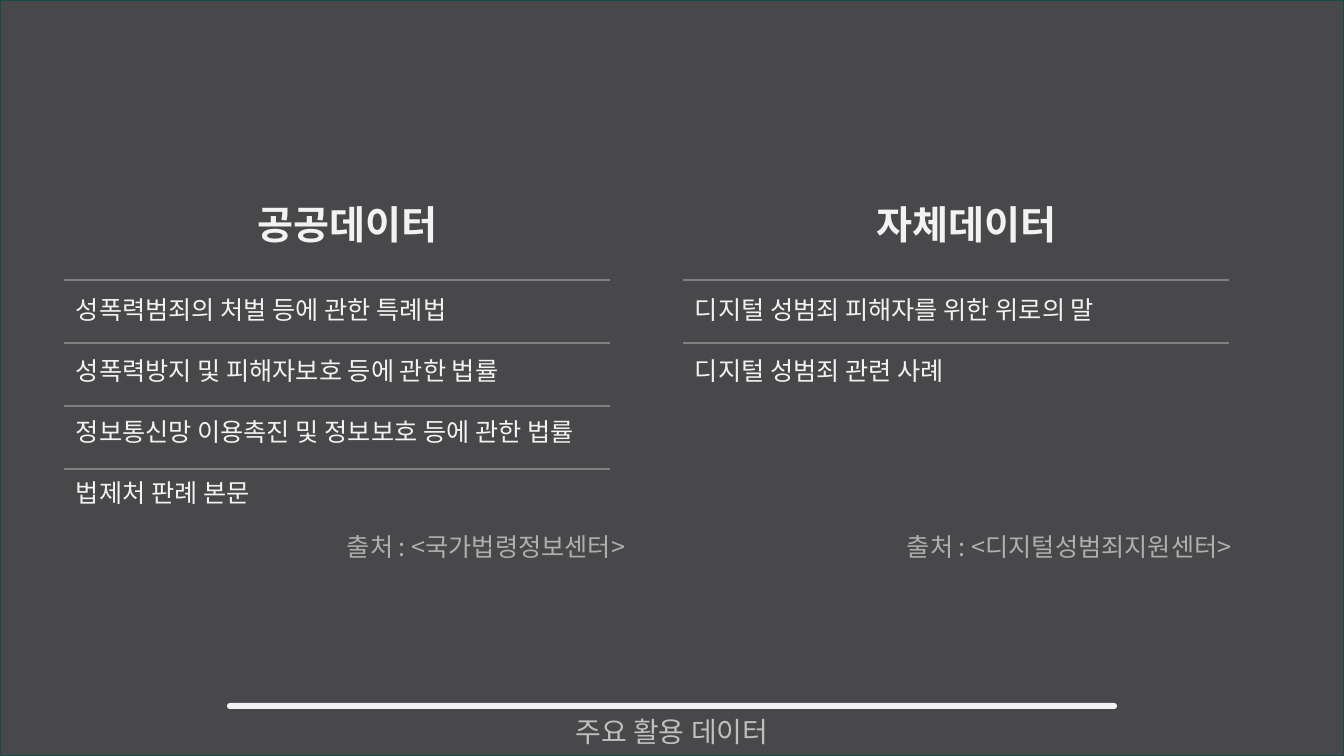
import pptx
import pptx.dml.color
import pptx.enum.shapes
import pptx.enum.text
import pptx.oxml
import pptx.oxml.ns
import pptx.util
from lxml import etree

RGBColor = pptx.dml.color.RGBColor
BACKDROP = RGBColor(0x48, 0x48, 0x4A)
EDGE = RGBColor(0x12, 0x4B, 0x49)
WHITE = RGBColor(0xF2, 0xF2, 0xF2)
RULE = RGBColor(0x80, 0x80, 0x80)
TITLE_GREY = RGBColor(0xBF, 0xBF, 0xBF)
SOURCE_GREY = RGBColor(0xAE, 0xAE, 0xAE)
FONT = "Noto Sans CJK JP"

TITLE = "주요 활용 데이터"
COLUMNS = [
    {
        "heading": "공공데이터",
        "items": [
            "성폭력범죄의 처벌 등에 관한 특례법",
            "성폭력방지 및 피해자보호 등에 관한 법률",
            "정보통신망 이용촉진 및 정보보호 등에 관한 법률",
            "법제처 판례 본문",
        ],
        "source": "출처 : <국가법령정보센터>",
        "source_left": 337,
        "source_width": 317,
    },
    {
        "heading": "자체데이터",
        "items": ["디지털 성범죄 피해자를 위한 위로의 말", "디지털 성범죄 관련 사례"],
        "source": "출처 : <디지털성범죄지원센터>",
        "source_left": 897,
        "source_width": 353,
    },
]

SLIDE_WIDTH, SLIDE_HEIGHT = 1344, 756
COLUMN_LEFT, COLUMN_STEP, RULE_WIDTH = 64, 619, 546
FIRST_RULE, RULE_STEP = 280, 63
FIRST_ITEM, ITEM_STEP = 289, 61

ITEM = {"size": pptx.util.Pt(18), "color": WHITE}
SOURCE = {"size": pptx.util.Pt(18), "color": SOURCE_GREY}
HEADING = {"size": pptx.util.Pt(28), "color": WHITE, "bold": True}
TITLE_STYLE = {"size": pptx.util.Pt(20), "color": TITLE_GREY, "bold": False}
CENTER = pptx.enum.text.PP_ALIGN.CENTER
LEFT = pptx.enum.text.PP_ALIGN.LEFT


def px(*lengths):
    """Turn px lengths into EMU, at 100.8 px to the inch."""
    return [pptx.util.Emu(round(length * 914400 / 100.8)) for length in lengths]


def write(box, text, style, align):
    para = box.text_frame.paragraphs[0]
    para.alignment = align
    span = para.add_run()
    span.text = text
    for name, value in {"name": FONT, **style}.items():
        if name == "color":
            span.font.color.rgb = value
        else:
            setattr(span.font, name, value)
    # Hangul takes its typeface from the East Asian font entry.
    properties = span.font.fill and span.element.get_or_add_rPr() if hasattr(span, "element") else span.font._element
    etree.SubElement(properties, pptx.oxml.ns.qn("a:ea"), typeface=FONT)
    return para


def add_text(shapes, place, text, style, align=LEFT):
    box = shapes.add_textbox(*px(*place))
    box.text_frame.word_wrap = True
    box.text_frame.auto_size = pptx.enum.text.MSO_AUTO_SIZE.SHAPE_TO_FIT_TEXT
    write(box, text, style, align)


def add_rule(shapes, left, top):
    rule = shapes.add_connector(
        pptx.enum.shapes.MSO_CONNECTOR.STRAIGHT, *px(left, top, left + RULE_WIDTH, top)
    )
    rule.line.color.rgb = RULE
    rule.line.width = pptx.util.Pt(1.5)
    etree.SubElement(rule.element.spPr, pptx.oxml.ns.qn("a:effectLst"))


def add_block(slide, kind, place, fill):
    block = slide.shapes.add_shape(kind, *px(*place))
    block.shadow.inherit = False
    block.fill.solid()
    block.fill.fore_color.rgb = fill
    block.line.fill.background()
    return block


def add_column(slide, index, column):
    shapes = slide.shapes.add_group_shape().shapes
    left = COLUMN_LEFT + index * COLUMN_STEP
    add_text(shapes, (left + 72, 195, 424, 57), column["heading"], HEADING, CENTER)
    for row, item in enumerate(column["items"]):
        add_rule(shapes, left, FIRST_RULE + row * RULE_STEP)
        add_text(shapes, (left + 2, FIRST_ITEM + row * ITEM_STEP, 564, 40), item, ITEM)
    source_place = (column["source_left"], 526, column["source_width"], 40)
    add_text(shapes, source_place, column["source"], SOURCE)


def main():
    deck = pptx.Presentation()
    deck.slide_width, deck.slide_height = px(SLIDE_WIDTH, SLIDE_HEIGHT)
    slide = deck.slides.add_slide(deck.slide_layouts[5])
    kinds = pptx.enum.shapes.MSO_SHAPE

    backdrop = add_block(slide, kinds.RECTANGLE, (0, 0, SLIDE_WIDTH, SLIDE_HEIGHT), BACKDROP)
    backdrop.line.color.rgb = EDGE
    backdrop.line.width = pptx.util.Pt(1.5)
    bar = add_block(slide, kinds.ROUNDED_RECTANGLE, (227, 703, 890, 6), WHITE)
    bar.adjustments[0] = 0.5

    title = slide.shapes.title
    bar.element.addnext(title.element)
    title.left, title.top, title.width, title.height = px(509, 660, 326, 146)
    title.text_frame.word_wrap = True
    title.text_frame.vertical_anchor = pptx.enum.text.MSO_ANCHOR.MIDDLE
    write(title, TITLE, TITLE_STYLE, CENTER).line_spacing = 0.9

    for index, column in enumerate(COLUMNS):
        add_column(slide, index, column)
    deck.save("out.pptx")


if __name__ == "__main__":
    main()
